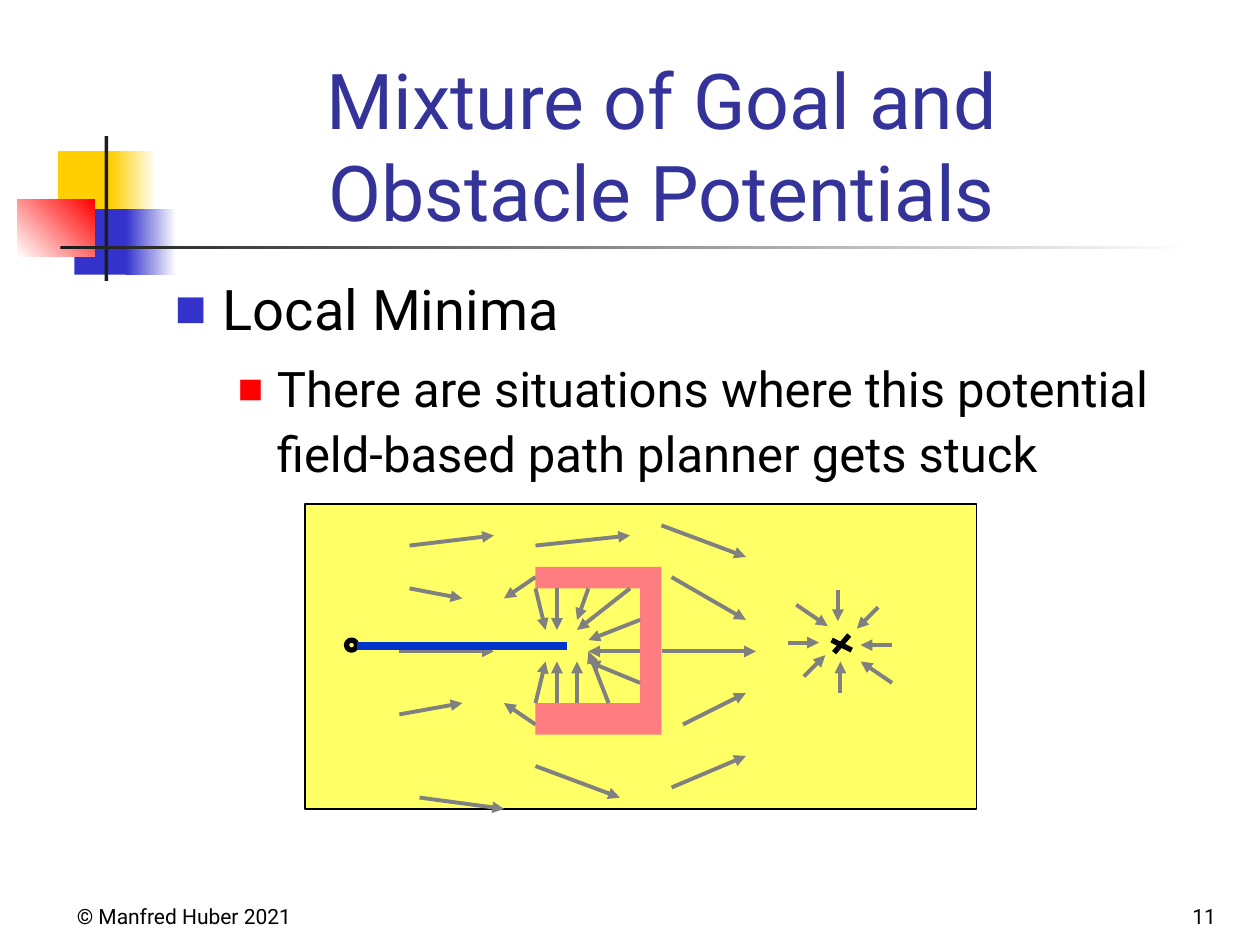
from pptx import Presentation
from pptx.dml.color import RGBColor
from pptx.enum.shapes import MSO_CONNECTOR as Conn, MSO_SHAPE as Shape
from pptx.enum.text import MSO_ANCHOR as Anchor, PP_ALIGN as Align
from pptx.oxml.ns import qn
from pptx.util import Inches, Pt
from lxml.etree import SubElement

FONT = "Roboto"
BLACK, WHITE, GRAY, DARK = "000000", "FFFFFF", "808080", "1C1C1C"
YELLOW, BLUE, RED = "FFCF01", "3333CC", "FF0000"

DECORATIONS = [
    ((0.46, 1.2, 0.48, 0.52), (YELLOW,), 0),
    ((0.88, 1.2, 0.36, 0.52), (YELLOW, WHITE), 0),
    ((0.59, 1.66, 0.46, 0.52), (BLUE,), 0),
    ((1, 1.66, 0.4, 0.52), (BLUE, WHITE), 0),
    ((0.14, 1.58, 0.61, 0.46), (WHITE, RED), 45),
    ((0.83, 1.08, 0.03, 1.15), (DARK,), 0),
    ((0.48, 1.95, 9, 0.03), (DARK, WHITE), 0),
]
WALL = [(4.25, 4.5), (5.25, 4.5), (5.25, 5.83), (4.25, 5.83),
        (4.25, 5.58), (5.08, 5.58), (5.08, 4.67), (4.25, 4.67)]
GOAL_CROSS = [(6.62, 5.18, 6.74, 5.04), (6.6, 5.08, 6.76, 5.16)]
GOAL_ARROWS = [
    (6.25, 5.1, 6.5, 5.1), (6.38, 5.37, 6.55, 5.2),
    (6.67, 5.5, 6.67, 5.25), (6.32, 4.8, 6.57, 4.97),
    (7.08, 5.12, 6.83, 5.12), (7.08, 5.42, 6.83, 5.25),
    (6.65, 4.68, 6.65, 4.93), (6.97, 4.82, 6.8, 4.99),
]
FIELD_ARROWS = [
    (5.42, 5.75, 5.92, 5.5), (5.25, 5.17, 6, 5.17),
    (5.33, 4.58, 5.92, 4.92), (4.25, 4.33, 5, 4.25),
    (4.25, 6.08, 4.92, 6.33), (5.33, 6.25, 5.92, 6),
    (5, 4.67, 4.58, 5), (5.25, 4.17, 5.92, 4.42),
    (5.08, 4.92, 4.67, 5.08), (5.08, 5.17, 4.67, 5.17),
    (5.08, 5.42, 4.67, 5.25), (4.83, 5.58, 4.67, 5.17),
    (4.58, 5.58, 4.58, 5.25), (4.42, 5.58, 4.42, 5.25),
    (3.17, 5.17, 3.92, 5.17), (4.25, 5.75, 4, 5.58),
    (4.25, 4.58, 4, 4.75), (4.25, 5.58, 4.33, 5.25),
    (4.25, 4.67, 4.33, 5), (4.67, 4.67, 4.58, 4.92),
    (4.42, 4.67, 4.42, 5), (3.25, 4.33, 3.92, 4.25),
    (3.33, 6.33, 4, 6.42), (3.25, 4.67, 3.67, 4.75),
    (3.17, 5.67, 3.67, 5.58),
]


def rgb(color):
    return RGBColor.from_string(color)


def set_attrs(obj, values):
    for name, value in values.items():
        setattr(obj, name, value)


def paint(sp, colors=(), angle=0, line=None, width=0.75):
    sp.shadow.inherit = False
    if len(colors) == 2:
        sp.fill.gradient()
        sp.fill.gradient_angle = angle
        for stop, color in zip(sp.fill.gradient_stops, colors):
            stop.color.rgb = rgb(color)
    elif colors:
        sp.fill.solid()
        sp.fill.fore_color.rgb = rgb(colors[0])
    else:
        sp.fill.background()
    if line:
        sp.line.color.rgb = rgb(line)
        sp.line.width = Pt(width)
    else:
        sp.line.fill.background()


def add_preset(shapes, kind, box, **look):
    paint(shapes.add_shape(kind, *map(Inches, box)), **look)


def add_outline(shapes, points, color):
    start, *rest = [(Inches(x), Inches(y)) for x, y in points]
    builder = shapes.build_freeform(*start)
    builder.add_line_segments(rest, close=True)
    paint(builder.convert_to_shape(), (color,))


def add_line(shapes, ends, color, width, arrow=False):
    sp = shapes.add_connector(Conn.STRAIGHT, *map(Inches, ends))
    sp.line.color.rgb = rgb(color)
    sp.line.width = Pt(width)
    if arrow:
        SubElement(sp.line._get_or_add_ln(), qn("a:tailEnd"), type="triangle")
    SubElement(sp._element.spPr, qn("a:effectLst"))


def add_arrows(shapes, arrows):
    group = shapes.add_group_shape()
    for ends in arrows:
        add_line(group.shapes, ends, GRAY, 2.25, arrow=True)


def add_frame(shapes, box, anchor):
    tf = shapes.add_textbox(*map(Inches, box)).text_frame
    set_attrs(tf, {"word_wrap": True, "vertical_anchor": anchor})
    return tf


def write(p, text, size, color=BLACK, **layout):
    set_attrs(p, layout)
    r = p.add_run()
    r.text = text
    set_attrs(r.font, {"name": FONT, "size": Pt(size)})
    r.font.color.rgb = rgb(color)


def add_label(shapes, box, text, size, align, color=BLACK):
    tf = add_frame(shapes, box, Anchor.BOTTOM)
    write(tf.paragraphs[0], text, size, color, alignment=align)


def add_bullet(p, margin, hang, color, percent):
    pPr = p._p.get_or_add_pPr()
    pPr.set("marL", str(Inches(margin)))
    pPr.set("indent", str(-Inches(hang)))
    SubElement(SubElement(pPr, qn("a:buClr")), qn("a:srgbClr"), val=color)
    SubElement(pPr, qn("a:buSzPct"), val=str(percent * 1000))
    SubElement(pPr, qn("a:buFont"), typeface=FONT)
    SubElement(pPr, qn("a:buChar"), char="■")


def add_body(shapes):
    tf = add_frame(shapes, (1.29, 2.08, 8.5, 4.96), Anchor.TOP)
    p = tf.paragraphs[0]
    add_bullet(p, 0.38, 0.38, BLUE, 60)
    write(p, "Local Minima", 32, line_spacing=1.1)
    p = tf.add_paragraph()
    add_bullet(p, 0.81, 0.31, RED, 55)
    write(p, "There are situations where this potential field-based "
          "path planner gets stuck", 28,
          level=1, line_spacing=1.1, space_before=Pt(6))


def add_potential_field(shapes):
    add_preset(shapes, Shape.RECTANGLE, (2.42, 4, 5.33, 2.42),
               colors=("FFFF66",), line=BLACK)
    add_outline(shapes, WALL, "FF7C80")
    for ends in GOAL_CROSS:
        add_line(shapes, ends, BLACK, 3)
    add_arrows(shapes, GOAL_ARROWS)
    add_arrows(shapes, FIELD_ARROWS)
    add_preset(shapes, Shape.OVAL, (2.75, 5.08, 0.08, 0.08),
               line=BLACK, width=3)
    add_line(shapes, (2.83, 5.13, 4.5, 5.13), "0033CC", 4.5)


def main():
    prs = Presentation()
    set_attrs(prs, {"slide_width": Inches(10), "slide_height": Inches(7.5)})
    shapes = prs.slides.add_slide(prs.slide_layouts[6]).shapes
    for box, colors, angle in DECORATIONS:
        add_preset(shapes, Shape.RECTANGLE, box, colors=colors, angle=angle)
    add_label(shapes, (0.33, 6.92, 2.08, 0.5), "© Manfred Huber 2021",
              12, Align.RIGHT)
    add_label(shapes, (7.42, 6.92, 2.33, 0.5), "11", 12, Align.RIGHT)
    add_label(shapes, (1.42, 0.68, 7.67, 1.25),
              "Mixture of Goal and Obstacle Potentials",
              44, Align.CENTER, "333399")
    add_body(shapes)
    add_potential_field(shapes)
    prs.save("out.pptx")


if __name__ == "__main__":
    main()
